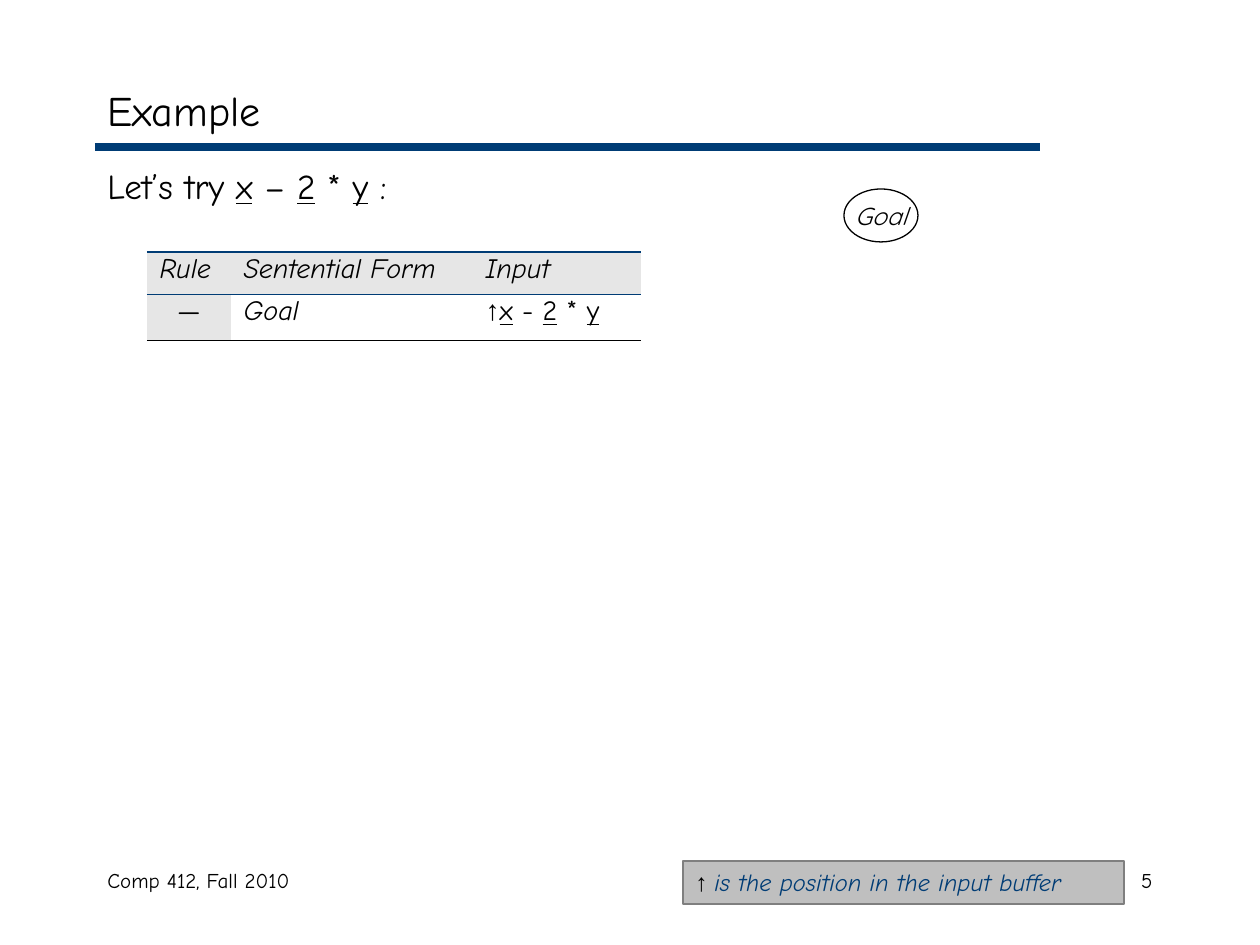
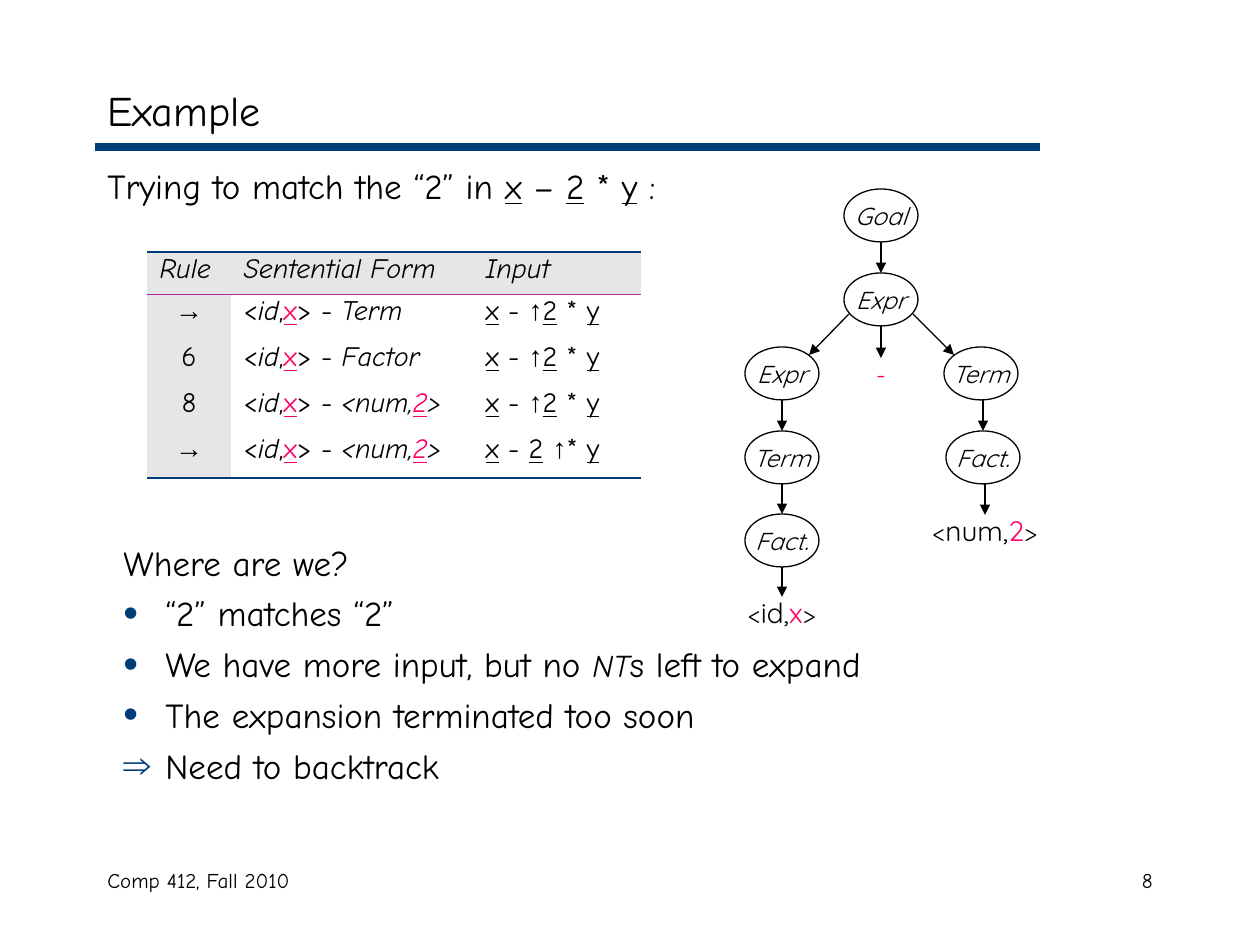
import pptx
import pptx.dml.color
import pptx.enum.shapes
import pptx.enum.text
import pptx.oxml
import pptx.oxml.ns
import pptx.util

RGB = pptx.dml.color.RGBColor
ALIGN = pptx.enum.text.PP_ALIGN
ANCHOR = pptx.enum.text.MSO_ANCHOR
SHAPE = pptx.enum.shapes.MSO_SHAPE

NAVY = RGB(0x00, 0x3C, 0x75)
PINK = RGB(0xFF, 0x00, 0x65)
PURPLE = RGB(0xB0, 0x25, 0xA6)
BLACK = RGB(0x00, 0x00, 0x00)
PALE_GREY = RGB(0xE6, 0xE6, 0xE6)
NOTE_GREY = RGB(0xBF, 0xBF, 0xBF)
NOTE_EDGE = RGB(0x7F, 0x7F, 0x7F)
HAND, SANS, SYMBOL = "Comic Neue", "Quicksand", "Arial"

# Content: a text is a list of runs, each plain or (text, style letters);
# u underline, i italic, p pink, n navy, a symbol font, m 16 pt, s 18 pt
TITLE = "Example"
COURSE = "Comp 412, Fall 2010"
X, TWO, Y, POINTER = ("x", "u"), ("2", "u"), ("y", "u"), ("↑", "a")
EXPRESSION = [X, " – ", TWO, " * ", Y, " :"]
HEADINGS = [[("Rule", "i")], [("Sentential Form", "i")], [("Input", "i")]]
MATCHED = [("→", "a")]
ID_X = ["<", ("id", "i"), ",", ("x", "pu"), "> - "]
NUM_2 = [("<num,", "i"), ("2", "piu"), (">", "i")]
AT_TWO = [X, " - ", POINTER, TWO, " * ", Y]
PAST_TWO = [X, " - ", TWO, " ", POINTER, "* ", Y]

START = {
    "number": "5",
    "lead": ["Let’s try "] + EXPRESSION,
    "steps": [
        [["—"], [("Goal", "i")], [POINTER, X, " - ", TWO, " * ", Y]],
    ],
    "rules": {0: (NAVY, 1.08), 1: (NAVY, 0.45), 2: (BLACK, 0.45)},
}
BACKTRACK = {
    "number": "8",
    "lead": ["Trying to match the “2” in "] + EXPRESSION,
    "steps": [
        [MATCHED, ID_X + [("Term", "i")], AT_TWO],
        [["6"], ID_X + [("Factor", "i")], AT_TWO],
        [["8"], ID_X + NUM_2, AT_TWO],
        [MATCHED, ID_X + NUM_2, PAST_TWO],
    ],
    "rules": {0: (NAVY, 1.08), 1: (PURPLE, 0.45), 5: (NAVY, 1.08)},
}
POINTER_NOTE = [("↑ ", "a"), ("is the position in the input buffer", "ni")]
FINDINGS = [
    (None, ["Where are we?"]),
    ("•", ["“2” matches “2”"]),
    ("•", ["We have more input, but no ", ("NT", "is"), "s left to expand"]),
    ("•", ["The expansion terminated too soon"]),
    ("⇒", ["Need to backtrack"]),
]
BULLET_PERCENT = {"•": 120, "⇒": 110}

# Parse tree: key -> (parent, centre x, top, label, is leaf)
ROOT = {"goal": (None, 881, 189, [("Goal", "i")], False)}
PARSE_TREE = ROOT | {
    "expr": ("goal", 881, 273, [("Expr", "i")], False),
    "left expr": ("expr", 782, 347, [("Expr", "i")], False),
    "minus": ("expr", 881, 347, [("-", "p")], True),
    "right term": ("expr", 981, 347, [("Term", "i")], False),
    "left term": ("left expr", 782, 431, [("Term", "i")], False),
    "left factor": ("left term", 782, 514, [("Fact.", "i")], False),
    "id": ("left factor", 782, 586, ["<", ("id,", "m"), ("x", "mp"), ">"], True),
    "right factor": ("right term", 983, 431, [("Fact.", "i")], False),
    "num": ("right factor", 985, 504, ["<", ("num,", "m"), ("2", "mp"), ">"], True),
}

# Measures in px
NODE_W, NODE_H, LEAF_OVERLAP = 74, 53, 11
COLUMNS, HEAD_H, STEP_H = (84, 242, 168), 42, 46
BULLET_INDENT = 42
NO_GRID_STYLE = "{2D5ABB26-0587-4C30-8999-92F81FD0307C}"


def px(value):
    return round(value * 914400 / 126)


def add_xml(parent, tag, **attributes):
    child = pptx.oxml.parse_xml(f"<{tag} {pptx.oxml.ns.nsdecls('a')}/>")
    for key, value in attributes.items():
        child.set(key, str(value))
    parent.append(child)
    return child


def write(paragraph, runs, size, font=HAND, align=ALIGN.LEFT):
    paragraph.alignment = align
    paragraph.font.size = pptx.util.Pt(size)
    paragraph.font.name = font
    paragraph.font.color.rgb = BLACK
    for item in runs:
        text, style = (item, "") if isinstance(item, str) else item
        run = paragraph.add_run()
        run.text = text
        if "u" in style:
            run.font.underline = True
        if "i" in style:
            run.font.italic = True
        if "a" in style:
            run.font.name = SYMBOL
        for letter, colour in (("p", PINK), ("n", NAVY)):
            if letter in style:
                run.font.color.rgb = colour
        for letter, points in (("m", 16), ("s", 18)):
            if letter in style:
                run.font.size = pptx.util.Pt(points)


def add_text(slide, box, runs, size, align=ALIGN.LEFT, anchor=ANCHOR.TOP):
    frame = slide.shapes.add_textbox(*map(px, box)).text_frame
    frame.word_wrap = True
    frame.vertical_anchor = anchor
    write(frame.paragraphs[0], runs, size, align=align)


def add_line(slide, start, end, colour, width, arrow=False):
    line = slide.shapes.add_connector(
        pptx.enum.shapes.MSO_CONNECTOR.STRAIGHT, *map(px, start + end))
    line.line.color.rgb = colour
    line.line.width = pptx.util.Pt(width)
    if arrow:
        add_xml(line.line._get_or_add_ln(), "a:tailEnd", type="triangle")
    add_xml(line._element.spPr, "a:effectLst")


def add_shape(slide, kind, box, fill, edge):
    shape = slide.shapes.add_shape(kind, *map(px, box))
    shape.shadow.inherit = False
    for part, colour in ((shape.fill, fill), (shape.line.fill, edge)):
        if colour is None:
            part.background()
        else:
            part.solid()
            part.fore_color.rgb = colour
    shape.line.width = pptx.util.Pt(0.75)
    return shape.text_frame


def add_border(cell, side, rule):
    properties = cell._tc.get_or_add_tcPr()
    if rule is None:
        add_xml(add_xml(properties, f"a:{side}", w=0), "a:noFill")
        return
    colour, width = rule
    line = add_xml(properties, f"a:{side}", w=pptx.util.Pt(width))
    add_xml(add_xml(line, "a:solidFill"), "a:srgbClr", val=colour)


def add_derivation(slide, steps, rules):
    rows = [HEADINGS] + steps
    heights = [HEAD_H] + [STEP_H] * len(steps)
    frame = slide.shapes.add_table(
        len(rows), len(COLUMNS), px(147), px(252), px(sum(COLUMNS)), px(sum(heights)))
    table = frame.table
    table.first_row = table.horz_banding = False
    table._tbl.tblPr.find(pptx.oxml.ns.qn("a:tableStyleId")).text = NO_GRID_STYLE
    for column, width in zip(table.columns, COLUMNS):
        column.width = px(width)
    for r, (row, height) in enumerate(zip(rows, heights)):
        table.rows[r].height = px(height)
        for c, runs in enumerate(row):
            cell = table.cell(r, c)
            for side, rule in (("lnL", None), ("lnR", None),
                               ("lnT", rules.get(r)), ("lnB", rules.get(r + 1))):
                add_border(cell, side, rule)
            if r == 0 or c == 0:
                cell.fill.solid()
                cell.fill.fore_color.rgb = PALE_GREY
            else:
                cell.fill.background()
            paragraph = cell.text_frame.paragraphs[0]
            paragraph.line_spacing = 0.8
            write(paragraph, runs, 16,
                  align=ALIGN.CENTER if r and c == 0 else ALIGN.LEFT)


def add_tree(slide, nodes):
    for parent, x, top, label, is_leaf in nodes.values():
        frame = add_shape(slide, SHAPE.OVAL, (x - NODE_W / 2, top, NODE_W, NODE_H),
                          None, None if is_leaf else BLACK)
        frame.word_wrap = False
        frame.vertical_anchor = ANCHOR.MIDDLE
        write(frame.paragraphs[0], label, 14, SANS, ALIGN.CENTER)
        if parent is None:
            continue
        parent_x, parent_top = nodes[parent][1:3]
        if abs(x - parent_x) < NODE_W / 2:
            start = (x, parent_top + NODE_H)
            end = (x, top + (LEAF_OVERLAP if is_leaf else 0))
        else:
            side = 1 if x > parent_x else -1
            start = (parent_x + 32 * side, parent_top + 41)
            end = (x - 27 * side, top + 8)
        add_line(slide, start, end, BLACK, 0.75, arrow=True)


def add_findings(slide):
    frame = slide.shapes.add_textbox(*map(px, (111, 535, 886, 300))).text_frame
    frame.word_wrap = True
    for index, (bullet, runs) in enumerate(FINDINGS):
        paragraph = frame.add_paragraph() if index else frame.paragraphs[0]
        if index:
            paragraph.space_before = pptx.util.Pt(5)
        if bullet:
            properties = paragraph._p.get_or_add_pPr()
            properties.set("marL", str(px(BULLET_INDENT)))
            properties.set("indent", str(-px(BULLET_INDENT)))
            add_xml(add_xml(properties, "a:buClr"), "a:srgbClr", val=NAVY)
            add_xml(properties, "a:buSzPct", val=BULLET_PERCENT[bullet] * 1000)
            add_xml(properties, "a:buFont", typeface=SYMBOL)
            add_xml(properties, "a:buChar", char=bullet)
        write(paragraph, runs, 20)


def add_example(deck, example, nodes):
    slide = deck.slides.add_slide(deck.slide_layouts[6])
    add_line(slide, (95, 147), (1040, 147), NAVY, 4.5)
    add_text(slide, (95, 73, 1071, 73), [TITLE], 24, anchor=ANCHOR.MIDDLE)
    add_text(slide, (95, 158, 1071, 60), example["lead"], 20)
    add_text(slide, (95, 861, 399, 63), [COURSE], 12)
    add_text(slide, (903, 861, 262, 63), [example["number"]], 12, ALIGN.RIGHT)
    add_derivation(slide, example["steps"], example["rules"])
    add_tree(slide, nodes)
    return slide


def main():
    deck = pptx.Presentation()
    deck.slide_width, deck.slide_height = px(1260), px(945)

    # Starting position
    start = add_example(deck, START, ROOT)
    note = add_shape(start, SHAPE.RECTANGLE, (683, 861, 441, 43), NOTE_GREY, NOTE_EDGE)
    note.vertical_anchor = ANCHOR.TOP
    write(note.paragraphs[0], POINTER_NOTE, 14)

    # Dead end after matching "2"
    add_findings(add_example(deck, BACKTRACK, PARSE_TREE))
    deck.save("out.pptx")


if __name__ == "__main__":
    main()
